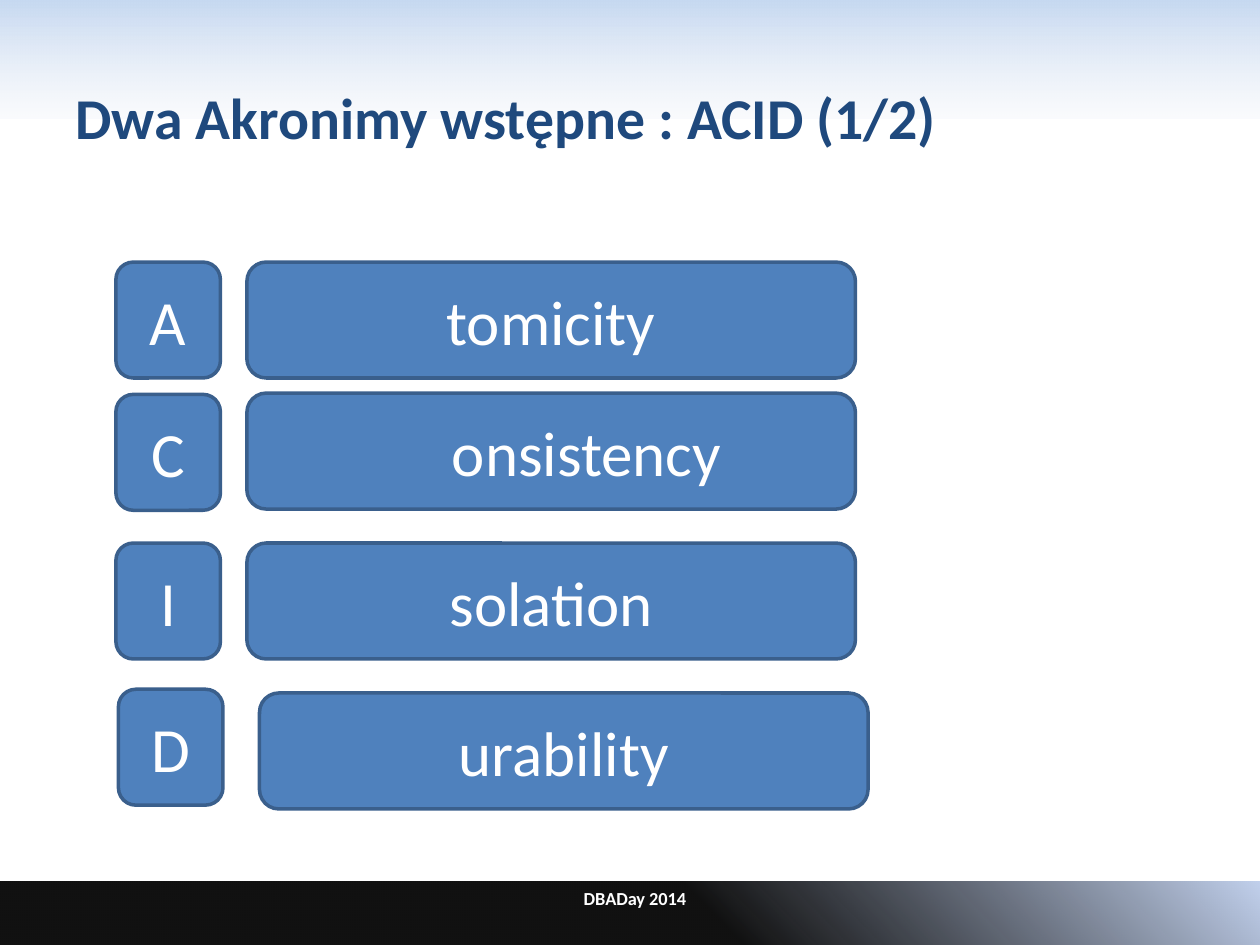
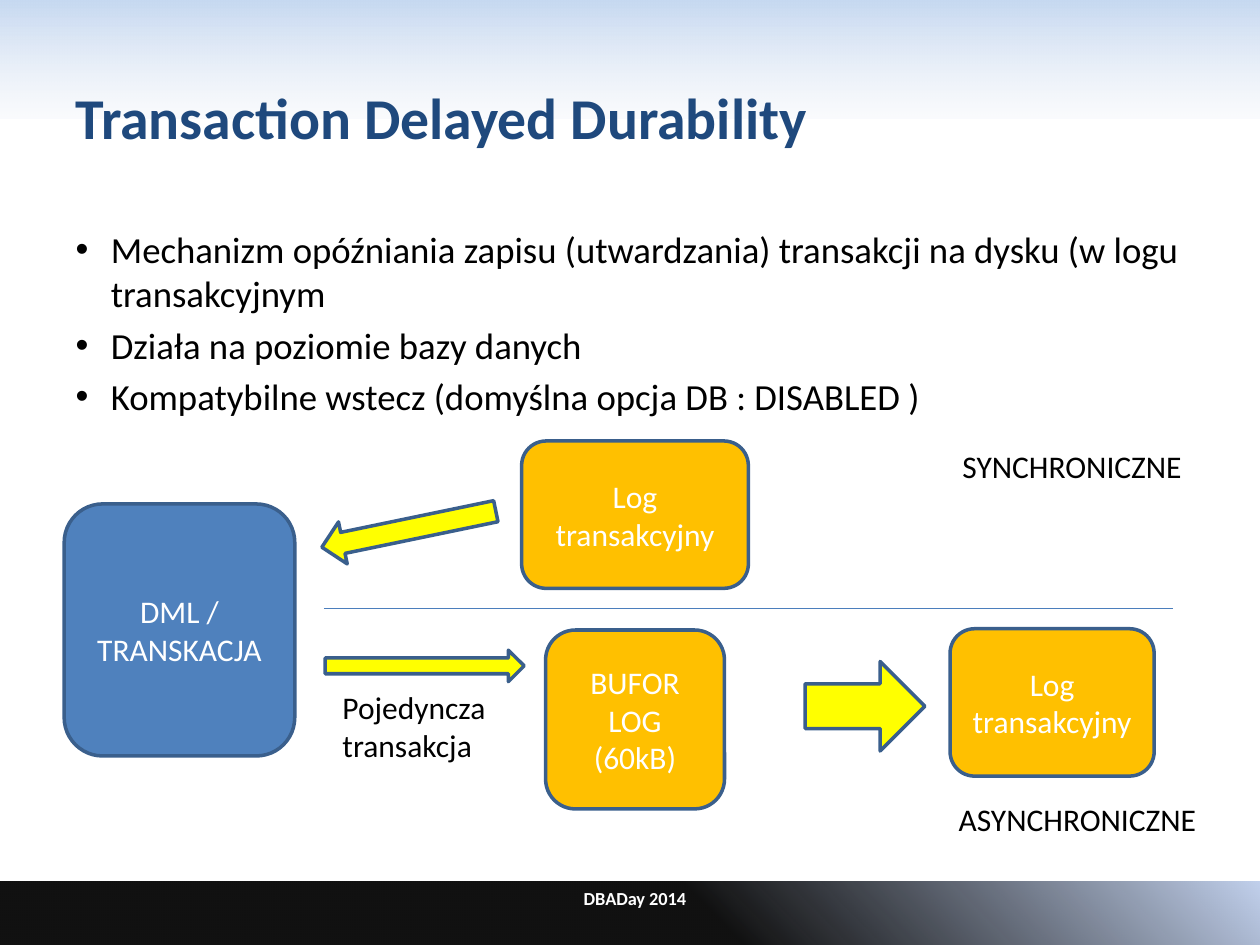
from dataclasses import dataclass

from lxml.etree import SubElement
from pptx import Presentation
from pptx.dml.color import RGBColor
from pptx.enum.shapes import MSO_CONNECTOR, MSO_SHAPE
from pptx.enum.text import MSO_ANCHOR, MSO_AUTO_SIZE, PP_ALIGN
from pptx.oxml.ns import qn
from pptx.util import Inches, Pt

TITLE_AND_BODY, TITLE_ONLY = 1, 5


@dataclass(frozen=True)
class Theme:
    font: str = "Calibri"
    title: str = "1F497D"
    text: str = "000000"
    light: str = "FFFFFF"
    blue: str = "4F81BD"
    amber: str = "FFC000"
    yellow: str = "FFFF00"
    outline: str = "3A5F8C"
    divider: str = "4B7EBC"
    # Gradient stops: position, colour and opacity, the first and last in percent
    top_band: tuple = ((0, "C6D9F1", 100), (100, "E1E8F5", 16))
    bottom_band: tuple = ((56, "000000", 93), (100, "C2D1ED", 100))
    title_size: float = 33
    body_size: float = 21
    letter_size: float = 36
    label_size: float = 18
    footer_size: float = 10.5
    outline_width: float = 2
    divider_width: float = 0.75


class SlideBuilder:
    def __init__(self, theme, footer):
        self.theme = theme
        self.footer = footer
        self.deck = Presentation()
        self.deck.slide_width = Inches(10)
        self.deck.slide_height = Inches(7.5)
        self.page = None

    def new_page(self, title, layout):
        first = self.page is None
        self.page = self.deck.slides.add_slide(self.deck.slide_layouts[layout])
        if first:
            self.master_band(0, 0.94, self.theme.top_band, 90)
            self.master_band(7, 0.51, self.theme.bottom_band, 315)
        heading = self.page.shapes.title.text_frame
        heading.auto_size = MSO_AUTO_SIZE.NONE
        self.set_text(heading, [title], self.theme.title_size, self.theme.title,
                      PP_ALIGN.LEFT, bold=True)
        frame = self.text_box((2.83, 7, 4.42, 0.42), [self.footer],
                              self.theme.footer_size, self.theme.light,
                              PP_ALIGN.CENTER, bold=True)
        frame.margin_top = Inches(0.04)

    def master_band(self, top, height, stops, angle):
        """Draw a full-width gradient band and move it behind the master's text."""
        band = self.page.shapes.add_shape(MSO_SHAPE.RECTANGLE, 0, Inches(top),
                                          self.deck.slide_width, Inches(height))
        band.shadow.inherit = False
        band.line.fill.background()
        band.fill.gradient()
        gradient = band.element.spPr.find(qn("a:gradFill"))
        for child in list(gradient):
            gradient.remove(child)
        stop_list = SubElement(gradient, qn("a:gsLst"))
        for position, color, opacity in stops:
            stop = SubElement(stop_list, qn("a:gs"), pos=str(position * 1000))
            fill = SubElement(stop, qn("a:srgbClr"), val=color)
            SubElement(fill, qn("a:alpha"), val=str(opacity * 1000))
        SubElement(gradient, qn("a:lin"), ang=str(angle * 60000), scaled="0")
        self.deck.slide_master.shapes.element.insert(2, band.element)

    def set_text(self, frame, lines, size, color, align, bold=False):
        frame.text = "\n".join(lines)
        for para in frame.paragraphs:
            para.alignment = align
            para.font.name = self.theme.font
            para.font.size = Pt(size)
            para.font.bold = bold
            para.font.color.rgb = RGBColor.from_string(color)

    def bullets(self, lines):
        frame = self.page.placeholders[1].text_frame
        frame.auto_size = MSO_AUTO_SIZE.NONE
        self.set_text(frame, lines, self.theme.body_size, self.theme.text,
                      PP_ALIGN.LEFT)
        for para in frame.paragraphs:
            properties = para._p.get_or_add_pPr()
            properties.set("marL", str(Inches(0.28)))
            properties.set("indent", str(Inches(-0.28)))
            bullet = SubElement(properties, qn("a:buChar"), char="•")
            properties.find(qn("a:defRPr")).addprevious(bullet)

    def text_box(self, place, lines, size, color, align=PP_ALIGN.LEFT, bold=False):
        box = self.page.shapes.add_textbox(*map(Inches, place))
        box.text_frame.word_wrap = False
        self.set_text(box.text_frame, lines, size, color, align, bold)
        return box.text_frame

    def label(self, place, *lines):
        self.text_box(place, lines, self.theme.label_size, self.theme.text)

    def shape(self, kind, place, color):
        shape = self.page.shapes.add_shape(kind, *map(Inches, place))
        shape.shadow.inherit = False
        shape.fill.solid()
        shape.fill.fore_color.rgb = RGBColor.from_string(color)
        shape.line.color.rgb = RGBColor.from_string(self.theme.outline)
        shape.line.width = Pt(self.theme.outline_width)
        return shape

    def rounded_box(self, place, text, color, size, extra_left=0):
        box = self.shape(MSO_SHAPE.ROUNDED_RECTANGLE, place, color)
        frame = box.text_frame
        frame.word_wrap = True
        frame.vertical_anchor = MSO_ANCHOR.MIDDLE
        frame.margin_left = Inches(0.1 + extra_left)
        self.set_text(frame, [text], size, self.theme.light, PP_ALIGN.CENTER)

    def arrow(self, place, rotation=0):
        arrow = self.shape(MSO_SHAPE.RIGHT_ARROW, place, self.theme.yellow)
        arrow.rotation = rotation

    def divider(self, left, right, top):
        line = self.page.shapes.add_connector(
            MSO_CONNECTOR.STRAIGHT, *map(Inches, (left, top, right, top)))
        line.line.color.rgb = RGBColor.from_string(self.theme.divider)
        line.line.width = Pt(self.theme.divider_width)
        SubElement(line.element.spPr, qn("a:effectLst"))


def acid_page(builder):
    theme = builder.theme
    builder.new_page("Dwa Akronimy wstępne : ACID (1/2)", TITLE_ONLY)
    # Initial, rest of the word, left and top of each box, extra left margin
    rows = [
        ("A", "tomicity", (0.92, 2.08), (1.96, 2.08), 0),
        ("C", "onsistency", (0.92, 3.13), (1.96, 3.12), 0.56),
        ("I", "solation", (0.92, 4.31), (1.96, 4.31), 0),
        ("D", "urability", (0.94, 5.47), (2.06, 5.5), 0),
    ]
    for initial, rest, initial_at, rest_at, extra_left in rows:
        builder.rounded_box((*initial_at, 0.83, 0.92), initial,
                            theme.blue, theme.letter_size)
        builder.rounded_box((*rest_at, 4.83, 0.92), rest,
                            theme.blue, theme.letter_size, extra_left)


def durability_page(builder):
    theme = builder.theme
    builder.new_page("Transaction Delayed Durability", TITLE_AND_BODY)
    builder.bullets([
        "Mechanizm opóźniania zapisu (utwardzania) transakcji na dysku "
        "(w logu transakcyjnym",
        "Działa na poziomie bazy danych",
        "Kompatybilne wstecz (domyślna opcja DB : DISABLED )",
    ])
    for place, text, color in [
        ((0.51, 4, 1.83, 2), "DML / TRANSKACJA", theme.blue),
        ((4.33, 5, 1.42, 1.42), "BUFOR LOG (60kB)", theme.amber),
        ((4.14, 3.5, 1.8, 1.17), "Log transakcyjny", theme.amber),
        ((7.54, 4.99, 1.62, 1.17), "Log transakcyjny", theme.amber),
    ]:
        builder.rounded_box(place, text, color, theme.label_size)
    builder.divider(2.57, 9.31, 4.83)
    builder.arrow((2.58, 5.16, 1.58, 0.25))
    builder.arrow((2.54, 4.03, 1.41, 0.34), rotation=168.3)
    builder.arrow((6.39, 5.25, 0.95, 0.71))
    builder.label((2.62, 5.41, 1.4, 0.71), "Pojedyncza", "transakcja")
    builder.label((7.54, 3.5, 1.96, 0.4), "SYNCHRONICZNE")
    builder.label((7.51, 6.3, 2.15, 0.4), "ASYNCHRONICZNE")


def main():
    builder = SlideBuilder(Theme(), footer="DBADay 2014")
    acid_page(builder)
    durability_page(builder)
    builder.deck.save("out.pptx")


if __name__ == "__main__":
    main()
